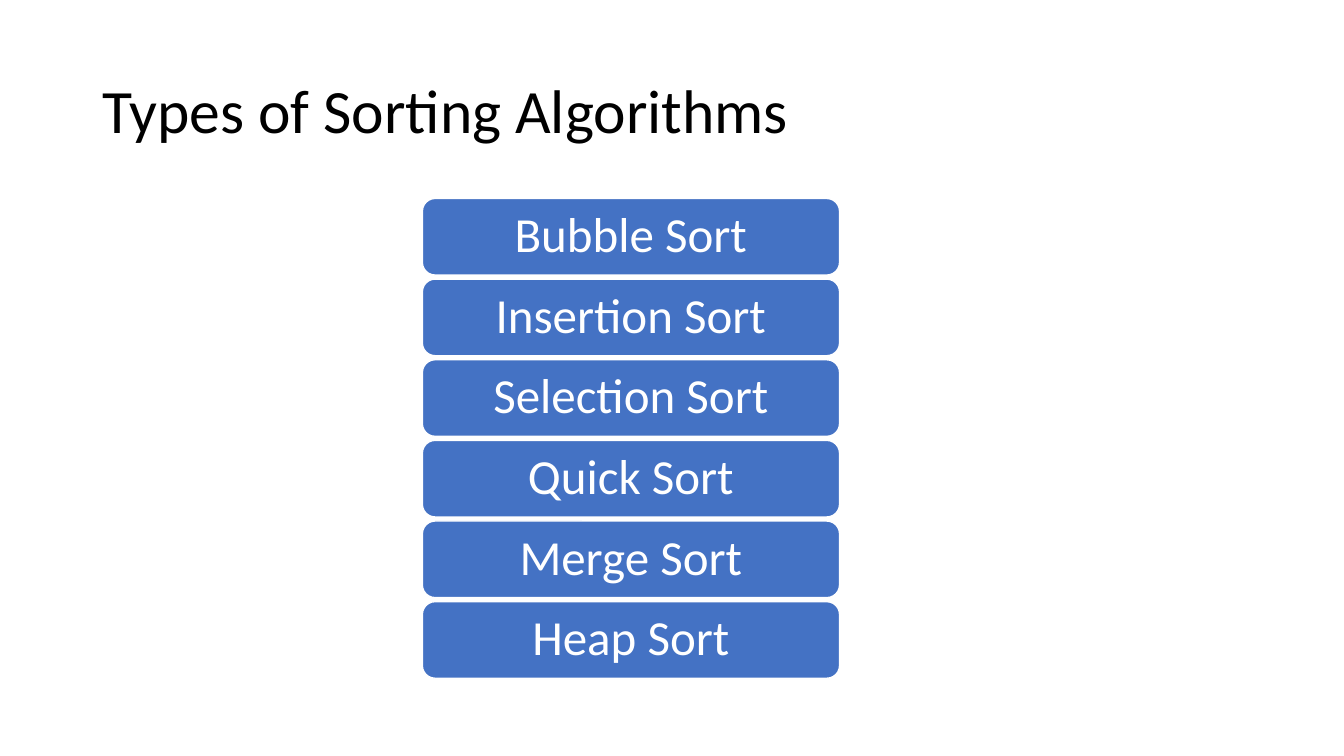
from dataclasses import dataclass

from pptx import Presentation
from pptx.dml.color import RGBColor
from pptx.enum.shapes import MSO_SHAPE as Shape
from pptx.enum.text import MSO_ANCHOR as Anchor, PP_ALIGN as Align
from pptx.util import Pt


@dataclass(frozen=True)
class Theme:
    font: str = "Calibri"
    title_size: float = 44
    bar_size: float = 35
    ink: RGBColor = RGBColor(0, 0, 0)
    paper: RGBColor = RGBColor(255, 255, 255)
    accent: RGBColor = RGBColor(0x44, 0x72, 0xC4)


THEME = Theme()
TITLE_BOX = (66, 28.8, 828, 104.4)
BARS_BOX = (301.7, 141.8, 298, 342.7)
BAR_GAP = 2.9
SORTS = ["Bubble Sort", "Insertion Sort", "Selection Sort",
         "Quick Sort", "Merge Sort", "Heap Sort"]


def write_line(frame, text, size, color, align):
    frame.word_wrap = True
    frame.vertical_anchor = Anchor.MIDDLE
    para = frame.paragraphs[0]
    para.alignment = align
    para.line_spacing = 0.9
    span = para.add_run()
    span.text = text
    span.font.name = THEME.font
    span.font.size = Pt(size)
    span.font.color.rgb = color


def place_title(slide, box, text):
    title = slide.shapes.title
    title.left, title.top, title.width, title.height = map(Pt, box)
    write_line(title.text_frame, text, THEME.title_size, THEME.ink, Align.LEFT)


def stack_bars(slide, box, labels):
    """Fill the box with equal rounded bars, one below the other."""
    left, top, width, height = box
    pitch = (height + BAR_GAP) / len(labels)
    for row, label in enumerate(labels):
        bar = slide.shapes.add_shape(
            Shape.ROUNDED_RECTANGLE, Pt(left), Pt(top + row * pitch),
            Pt(width), Pt(pitch - BAR_GAP))
        bar.shadow.inherit = False
        bar.fill.solid()
        bar.fill.fore_color.rgb = THEME.accent
        bar.line.color.rgb = THEME.paper
        bar.line.width = Pt(1)
        frame = bar.text_frame
        frame.margin_left = frame.margin_right = Pt(10.5)
        frame.margin_top = frame.margin_bottom = Pt(5)
        write_line(frame, label, THEME.bar_size, THEME.paper, Align.CENTER)


def main():
    deck = Presentation()
    deck.slide_width, deck.slide_height = Pt(960), Pt(540)
    slide = deck.slides.add_slide(deck.slide_layouts.get_by_name("Title Only"))
    place_title(slide, TITLE_BOX, "Types of Sorting Algorithms")
    stack_bars(slide, BARS_BOX, SORTS)
    deck.save("out.pptx")


if __name__ == "__main__":
    main()
